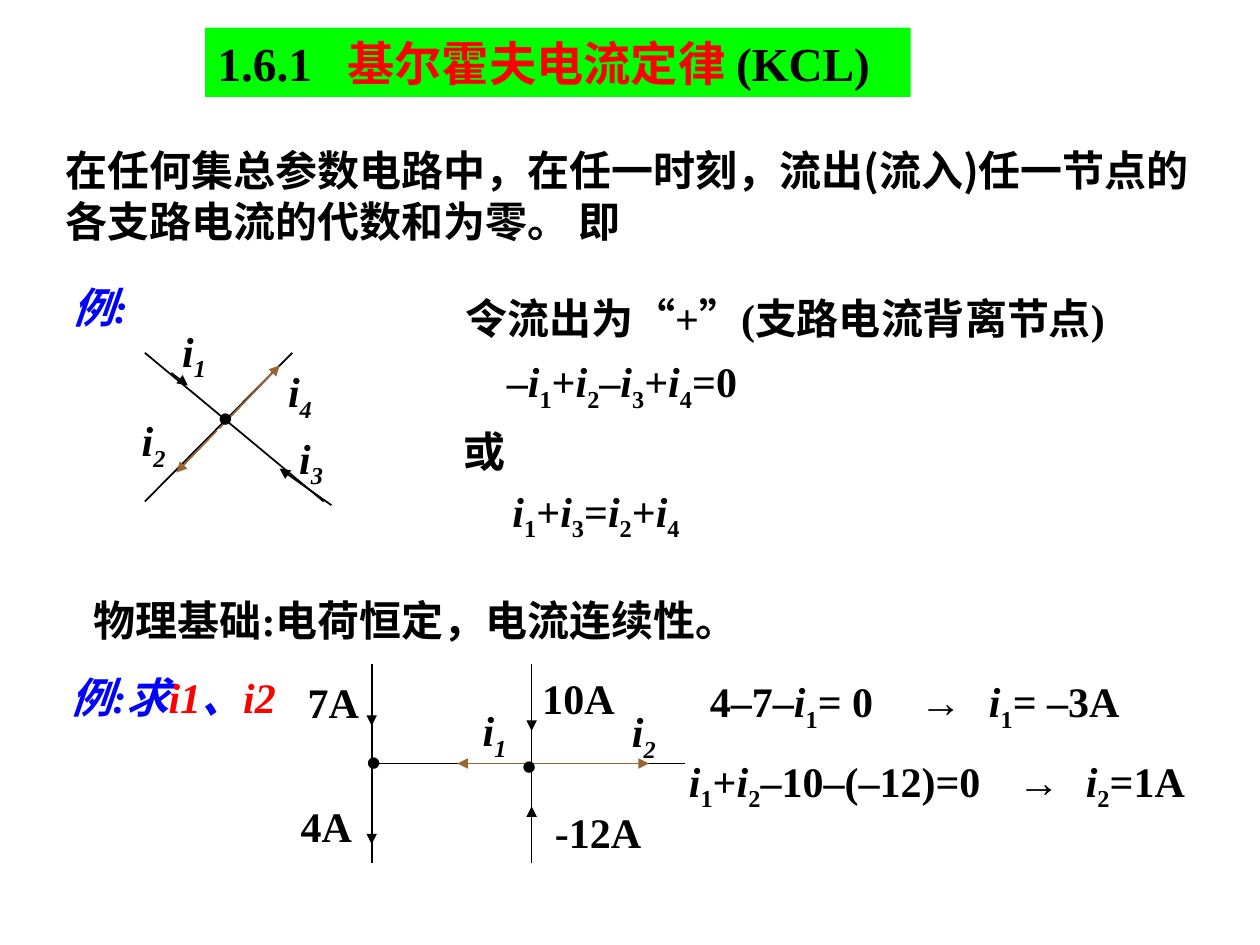
from lxml.etree import SubElement
from pptx import Presentation
from pptx.dml.color import RGBColor
from pptx.enum.shapes import MSO_CONNECTOR, MSO_SHAPE
from pptx.enum.text import MSO_ANCHOR, PP_ALIGN
from pptx.oxml.ns import qn
from pptx.util import Pt

BLACK = RGBColor(0, 0, 0)
RED = RGBColor(0xFF, 0, 0)
BLUE = RGBColor(0, 0, 0xFF)
GREEN = RGBColor(0, 0xFF, 0)
BROWN = RGBColor(0x99, 0x66, 0x33)
LATIN, CJK = "Times New Roman", "Noto Sans CJK SC"


def add_text(s, text, box, size=24, color=BLACK, italic=False, font=LATIN, fill=None,
             align=PP_ALIGN.CENTER, anchor=MSO_ANCHOR.MIDDLE, wrap=True, tabs=()):
    """text is a string or a list of (string, dict with color, italic, sub)."""
    box = [Pt(v) for v in box]
    if fill is None:
        sp = s.shapes.add_textbox(*box)
    else:
        sp = s.shapes.add_shape(MSO_SHAPE.RECTANGLE, *box)
        sp.shadow.inherit = False
        sp.fill.solid()
        sp.fill.fore_color.rgb = fill
        sp.line.fill.background()
    tf = sp.text_frame
    tf.word_wrap = wrap
    tf.vertical_anchor = anchor
    p = tf.paragraphs[0]
    p.alignment = align
    if tabs:
        stops = SubElement(p._p.get_or_add_pPr(), qn("a:tabLst"))
        for pos in tabs:
            SubElement(stops, qn("a:tab"), pos=str(Pt(pos)), algn="l")
    for part, fmt in [(text, {})] if isinstance(text, str) else text:
        r = p.add_run()
        r.text = part
        r.font.size = Pt(size)
        r.font.bold = True
        r.font.italic = fmt.get("italic", italic)
        r.font.color.rgb = fmt.get("color", color)
        r.font.name = font
        rPr = r._r.get_or_add_rPr()
        SubElement(rPr, qn("a:ea"), typeface=CJK)
        if fmt.get("sub"):
            rPr.set("baseline", "-25000")
    return sp


def formula(text, italic_sub=False):
    """Split into runs: each i is italic and the digit after it a subscript."""
    first, *rest = text.split("i")
    runs = [(first, {})]
    for piece in rest:
        runs += [("i", {"italic": True}),
                 (piece[0], {"sub": True, "italic": italic_sub}),
                 (piece[1:], {})]
    return [run for run in runs if run[0]]


def add_line(s, x1, y1, x2, y2, color=BLACK, arrow=False):
    c = s.shapes.add_connector(MSO_CONNECTOR.STRAIGHT, Pt(x1), Pt(y1), Pt(x2), Pt(y2))
    c.line.color.rgb = color
    c.line.width = Pt(1)
    if arrow:
        SubElement(c.line._get_or_add_ln(), qn("a:tailEnd"), type="triangle")
    SubElement(c._element.spPr, qn("a:effectLst"))


def add_diagram(s, left, top, wires, arrows, labels):
    """Draw wires, arrows and centred labels, all measured from (left, top)."""
    for x1, y1, x2, y2 in wires:
        add_line(s, left + x1, top + y1, left + x2, top + y2)
    for x1, y1, x2, y2, color in arrows:
        add_line(s, left + x1, top + y1, left + x2, top + y2, color, arrow=True)
    for text, x, y, w in labels:
        add_text(s, formula(text, italic_sub=True), (left + x, top + y, w, 36), wrap=False)


def add_node_example(s, left, top):
    w = 28.8
    add_diagram(
        s, left, top,
        wires=[(95, 17.6, 10.8, 102.6), (113, 102.6, 10.8, 17.6)],
        arrows=[(53.3, 60.8, 87.8, 24.8, BROWN), (51.8, 62.2, 28.8, 86, BROWN),
                (25.9, 29.1, 35.3, 36.3, BLACK), (117.4, 104.7, 87.8, 83.8, BLACK)],
        labels=[("i1", 24.5, 0.3, w), ("i4", 85, 23.4, w), ("i2", 1.4, 51.4, w),
                ("i3", 91.4, 61.5, w), ("•", 42.5, 36.3, w)])


def add_circuit(s, left, top):
    x1, x2, end = 55.4, 146.8, 234.7
    mid, bottom = 56.9, 113.8
    add_diagram(
        s, left, top,
        wires=[(x1, 0, x1, bottom), (x1, mid, end, mid), (x2, 0, x2, bottom)],
        arrows=[(x1, 0, x1, 35.3, BLACK), (x1, 59.8, x1, 103, BLACK),
                (x2, 3.6, x2, 38.2, BLACK), (x2, bottom, x2, 81.4, BLACK),
                (x2, mid, 104.4, mid, BROWN), (x2, mid, 213.8, mid, BROWN)],
        labels=[("•", 40.3, 37.4, 32.4), ("•", 126, 39.6, 38.9),
                ("7A", 7.9, 3.6, 51.1), ("4A", 0, 74.2, 59),
                ("i1", 104.4, 21.6, 42.5), ("10A", 139.7, 1.4, 67.7),
                ("-12A", 139.7, 77.8, 90), ("i2", 187.2, 22.3, 47.5)])


def add_law(s, left, top):
    add_text(s, [("1.6.1\t", {}), ("基尔霍夫电流定律 ", {"color": RED}), ("(KCL)", {})],
             (left + 87, top, 403.2, 39.6), size=27, fill=GREEN,
             align=PP_ALIGN.LEFT, tabs=[74.2])
    add_text(s, "在任何集总参数电路中，在任一时刻，流出(流入)任一节点的各支路电流的代数和为零。 即",
             (left, top + 64, 669.6, 64), font=CJK, align=PP_ALIGN.LEFT,
             anchor=MSO_ANCHOR.BOTTOM)


def add_sign_rule(s, left, top):
    add_text(s, "令流出为“+”(支路电流背离节点)", (left, top, 432, 36))
    add_text(s, formula("–i1+i2–i3+i4=0"), (left + 38.2, top + 38.2, 169.2, 36))
    add_text(s, "或", (left + 25.2, top + 76.3, 32.4, 36), wrap=False)
    add_text(s, formula("i1+i3=i2+i4"), (left + 43.9, top + 112.3, 128.2, 36))


def add_solution(s, left, top):
    add_text(s, formula("4–7–i1= 0\t→\ti1= –3A"), (left + 12, top, 262, 36),
             align=PP_ALIGN.LEFT, tabs=[120, 159.4])
    add_text(s, formula("i1+i2–10–(–12)=0\t→\ti2=1A"), (left, top + 45.4, 329, 36),
             align=PP_ALIGN.LEFT, tabs=[188, 226.8])


def main():
    prs = Presentation()
    prs.slide_width, prs.slide_height = Pt(720), Pt(540)
    s = prs.slides.add_slide(prs.slide_layouts[6])
    add_law(s, 30.2, 15.8)
    add_text(s, "例:", (30.2, 157, 54, 36), color=BLUE, italic=True, wrap=False)
    add_node_example(s, 72, 184)
    add_sign_rule(s, 232.6, 163.4)
    add_text(s, "物理基础:电荷恒定，电流连续性。", (30.2, 336.2, 414.7, 36))
    add_text(s, [("例:求", {}), ("i1", {"color": RED}), ("、", {}), ("i2", {"color": RED})],
             (24.5, 380.2, 149, 36), color=BLUE, italic=True)
    add_circuit(s, 157, 379.4)
    add_solution(s, 386.6, 384.5)
    prs.save("out.pptx")


if __name__ == "__main__":
    main()
